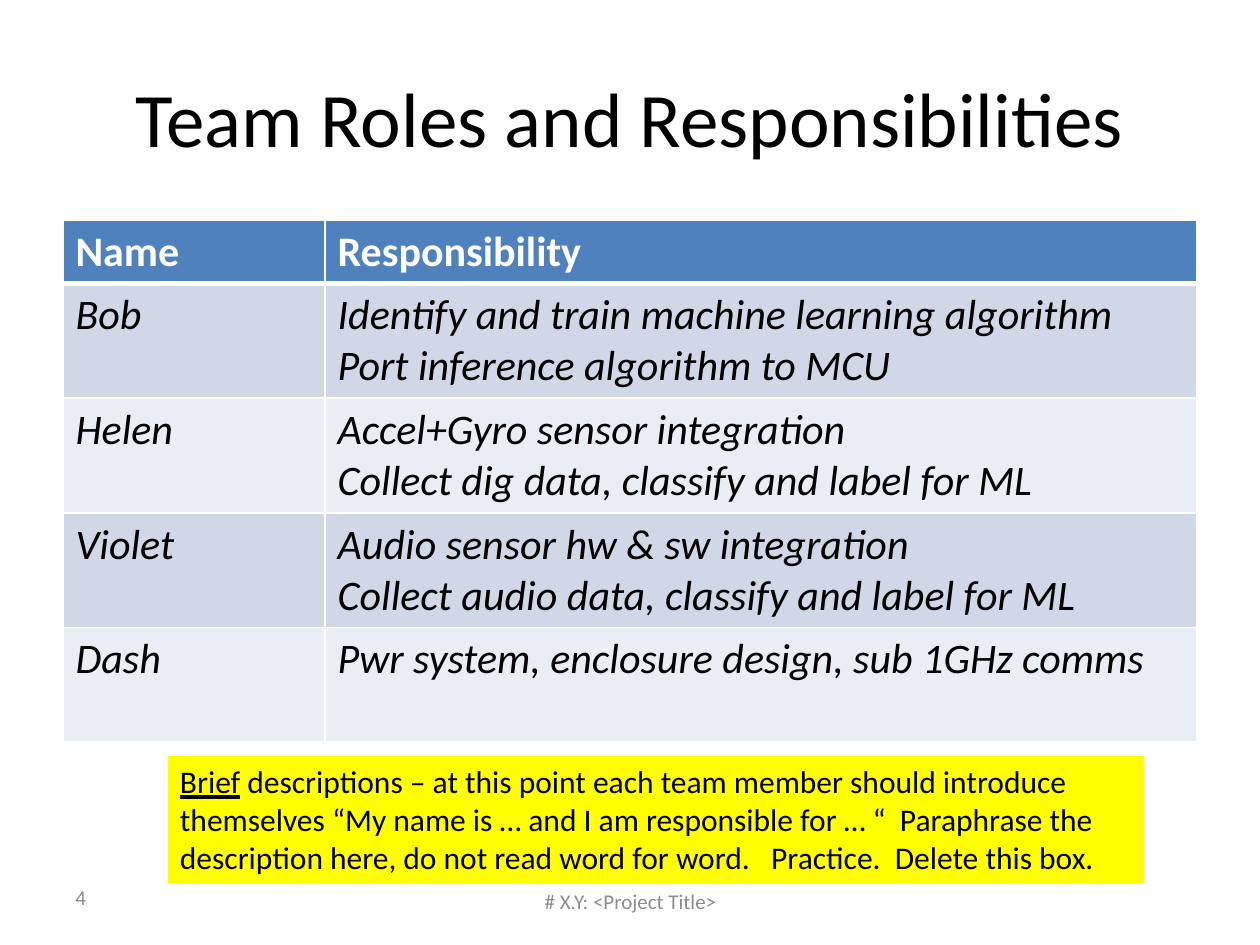
import pptx
import pptx.util
import pptx.dml.color
import pptx.enum.shapes
import pptx.enum.text
from lxml import etree

Inches = pptx.util.Inches
Pt = pptx.util.Pt
ALIGN = pptx.enum.text.PP_ALIGN
ANCHOR = pptx.enum.text.MSO_ANCHOR
MAIN = "http://schemas.openxmlformats.org/drawingml/2006/main"


def color(hex_value):
    return pptx.dml.color.RGBColor.from_string(hex_value)


def write(paragraph, text, hex_value, **font_values):
    run = paragraph.add_run()
    run.text = text
    run.font.color.rgb = color(hex_value)
    for name, value in {"name": "Calibri", **font_values}.items():
        setattr(run.font, name, value)


deck = pptx.Presentation()
deck.slide_width = Inches(10)
deck.slide_height = Inches(7.5)
slide = deck.slides.add_slide(deck.slide_layouts[6])

captions = [
    ("Team Roles and Responsibilities", (0.5, 0.3, 9, 1.25), 44, "000000", ALIGN.CENTER),
    ("# X.Y: <Project Title>", (3.42, 6.95, 3.17, 0.4), 12, "8C8C8C", ALIGN.CENTER),
    ("4", (0.5, 6.92, 2.33, 0.4), 12, "8C8C8C", ALIGN.LEFT),
]
for text, place, size, hex_value, alignment in captions:
    caption = slide.shapes.add_textbox(*map(Inches, place)).text_frame
    caption.word_wrap = True
    caption.vertical_anchor = ANCHOR.MIDDLE
    caption.paragraphs[0].alignment = alignment
    write(caption.paragraphs[0], text, hex_value, size=Pt(size))

team = [
    ("Name", ["Responsibility"]),
    ("Bob", ["Identify and train machine learning algorithm", "Port inference algorithm to MCU"]),
    ("Helen", ["Accel+Gyro sensor integration", "Collect dig data, classify and label for ML"]),
    ("Violet", ["Audio sensor hw & sw integration", "Collect audio data, classify and label for ML"]),
    ("Dash", ["Pwr system, enclosure design, sub 1GHz comms"]),
]
roles = slide.shapes.add_table(
    len(team), 2, Inches(0.5), Inches(1.75), Inches(9), Inches(4.14)
).table
for column, width in zip(roles.columns, (2.08, 6.92)):
    column.width = Inches(width)

for row, (member, duties) in enumerate(team):
    header = row == 0
    roles.rows[row].height = Inches(0.5 if header else 0.91)
    fill = "4F81BD" if header else ("E9EDF4", "D0D8E8")[row % 2]
    for column, lines in enumerate(([member], duties)):
        cell = roles.cell(row, column)
        properties = cell._tc.get_or_add_tcPr()
        for side in "LRTB":
            thick = (row, side) in ((0, "B"), (1, "T"))
            border = etree.SubElement(
                properties, f"{{{MAIN}}}ln{side}", w=str(Pt(3 if thick else 1))
            )
            paint = etree.SubElement(border, f"{{{MAIN}}}solidFill")
            etree.SubElement(paint, f"{{{MAIN}}}srgbClr", val="FFFFFF")
        cell.fill.solid()
        cell.fill.fore_color.rgb = color(fill)
        for index, line in enumerate(lines):
            frame = cell.text_frame
            paragraph = frame.add_paragraph() if index else frame.paragraphs[0]
            write(paragraph, line, "FFFFFF" if header else "000000",
                  size=Pt(24), bold=header, italic=not header)

advice = slide.shapes.add_shape(
    pptx.enum.shapes.MSO_SHAPE.RECTANGLE, Inches(1.33), Inches(6), Inches(7.75), Inches(1.01)
)
advice.shadow.inherit = False
advice.fill.solid()
advice.fill.fore_color.rgb = color("FFFF00")
advice.line.fill.background()
advice.text_frame.word_wrap = True
advice.text_frame.vertical_anchor = ANCHOR.TOP
advice_text = advice.text_frame.paragraphs[0]
advice_text.alignment = ALIGN.LEFT
write(advice_text, "Brief", "000000", size=Pt(18), underline=True)
write(
    advice_text,
    " descriptions – at this point each team member should introduce themselves "
    "“My name is … and I am responsible for … “  Paraphrase the description here, "
    "do not read word for word.   Practice.  Delete this box.",
    "000000", size=Pt(18),
)

deck.save("out.pptx")
